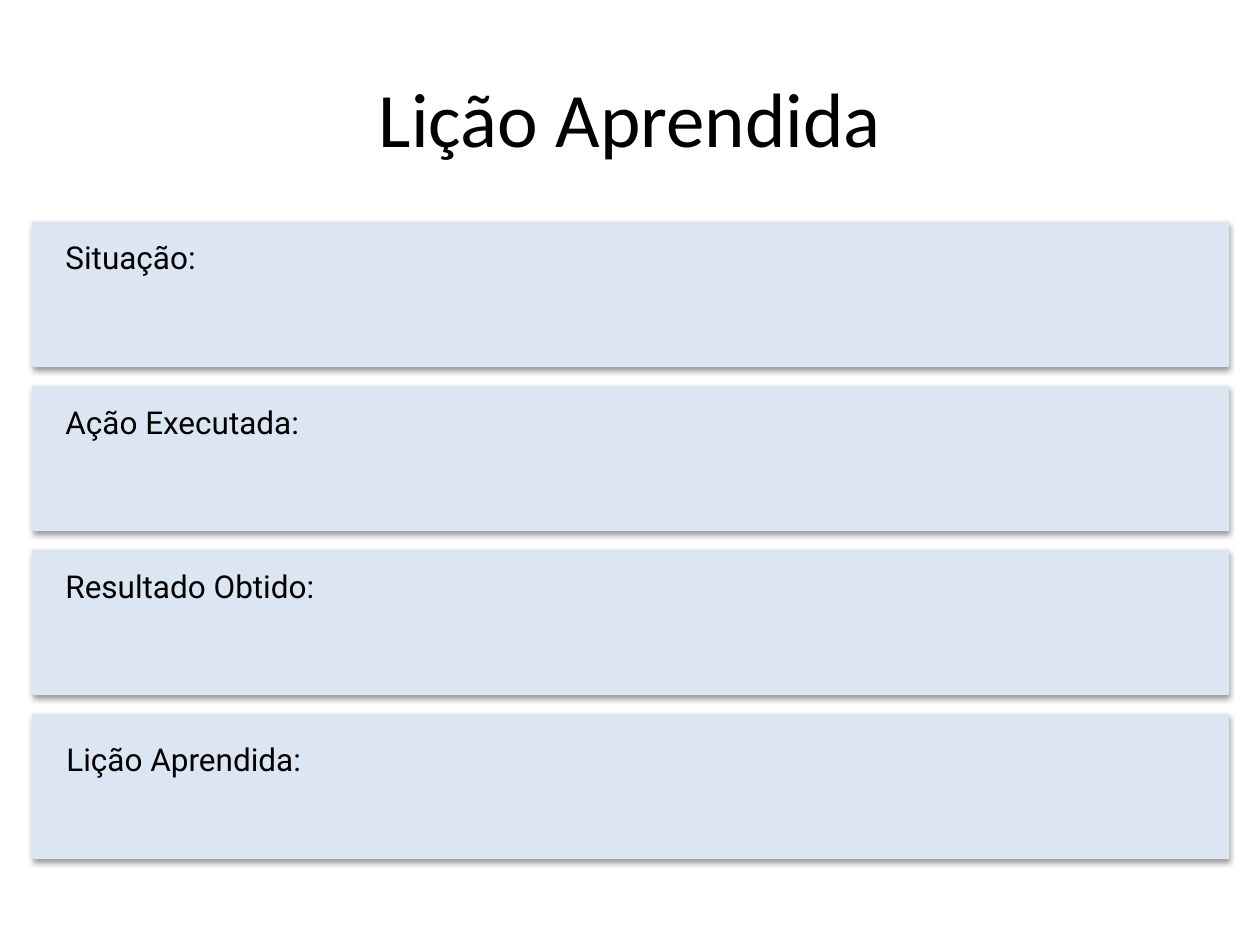
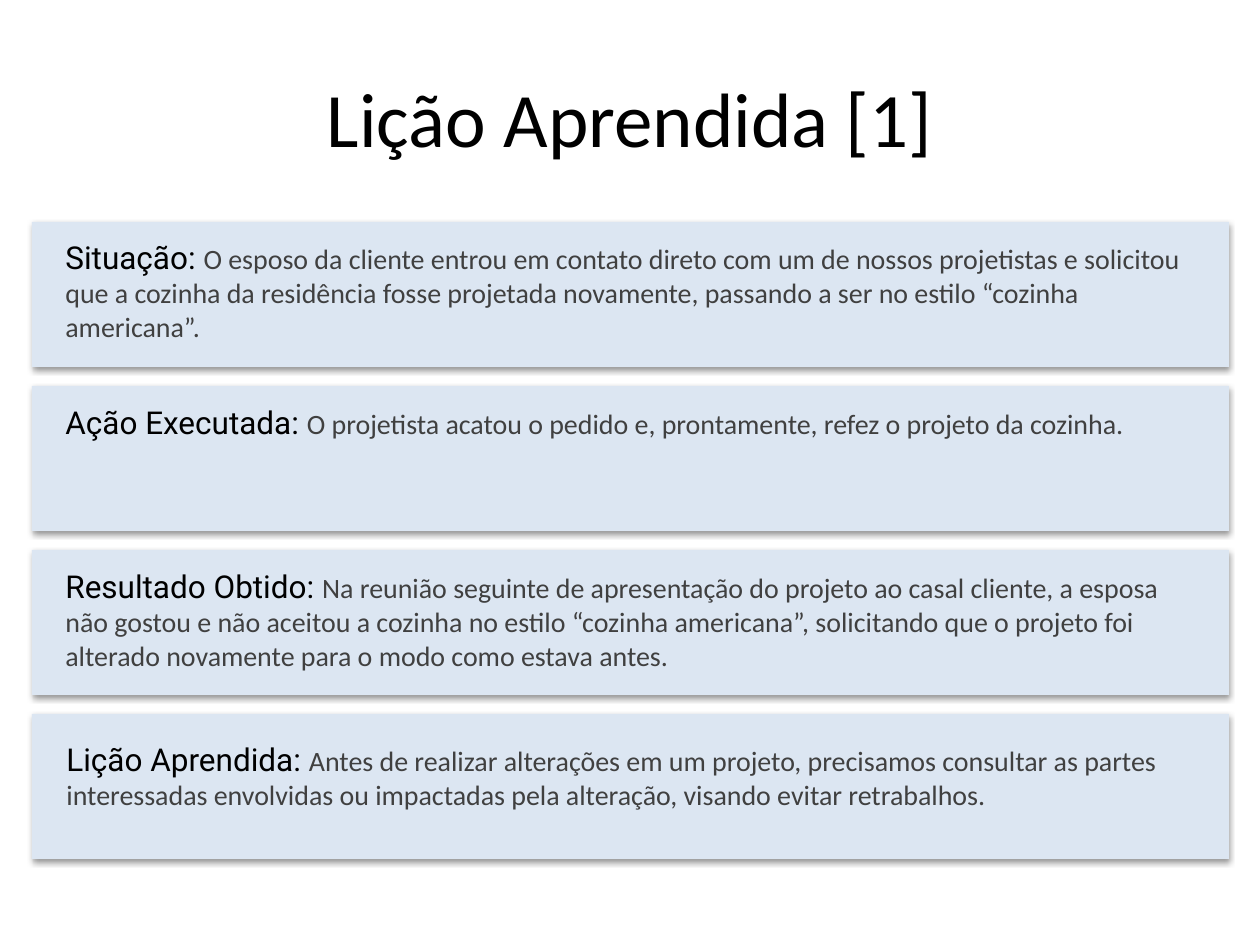
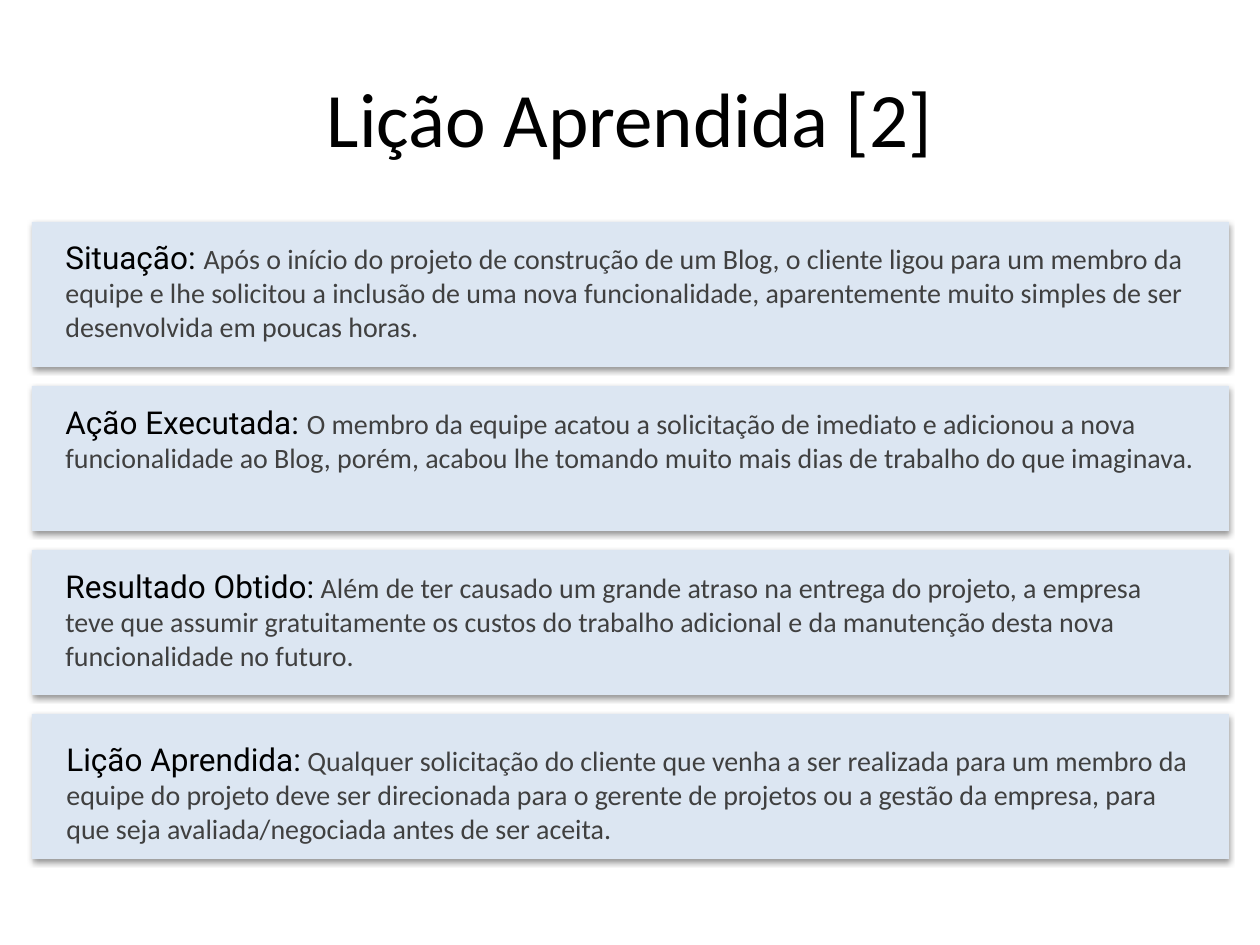
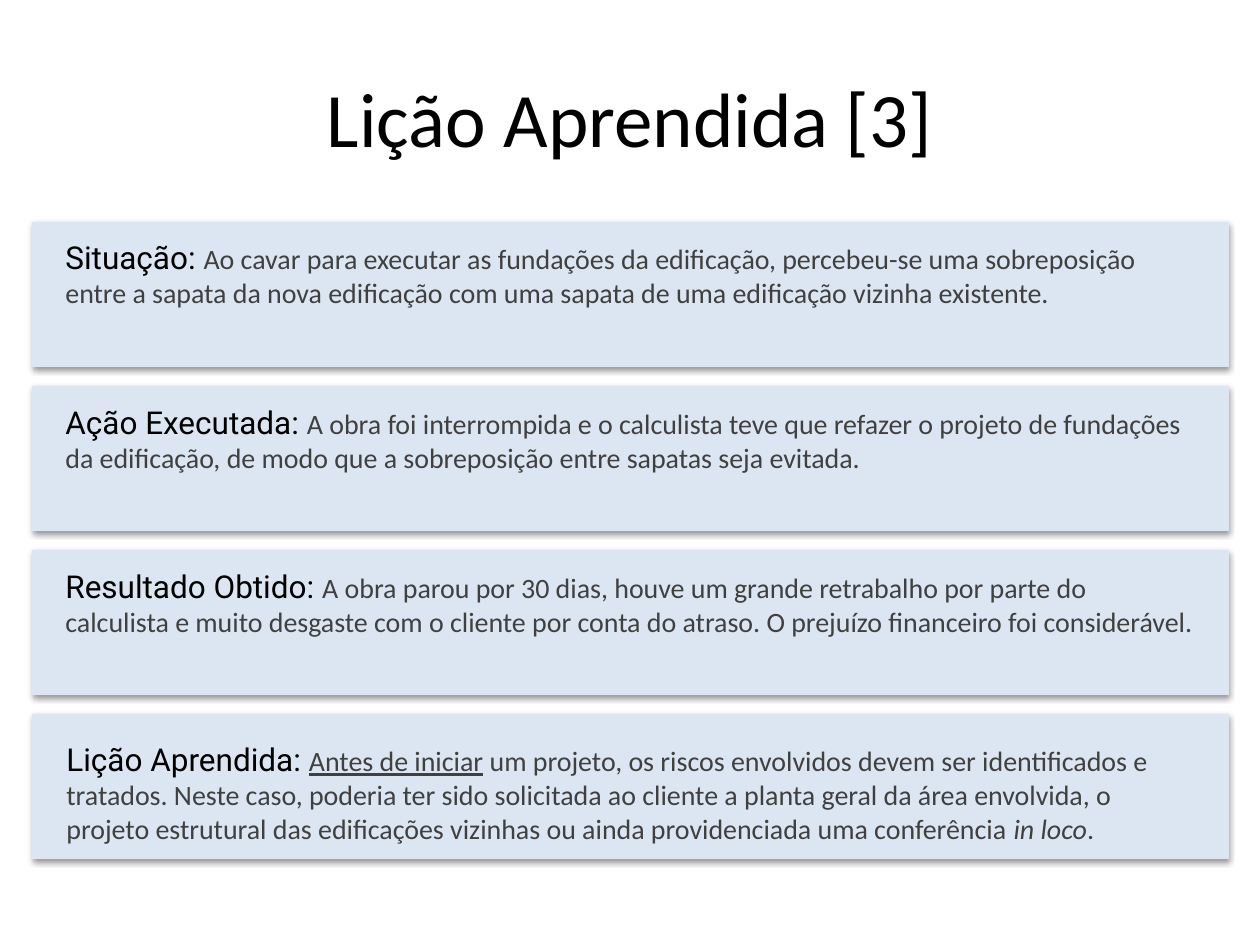
from dataclasses import dataclass

from lxml.etree import SubElement
from pptx import Presentation
from pptx.dml.color import RGBColor
from pptx.enum.shapes import MSO_SHAPE
from pptx.enum.text import MSO_ANCHOR, PP_ALIGN
from pptx.oxml.ns import qn
from pptx.util import Emu, Pt

PIXEL = 914400 // 126


@dataclass(frozen=True)
class Theme:
    """Colours, fonts and type sizes shared by the slides."""
    ink: str = "000000"
    body: str = "404040"
    band: str = "DCE6F2"
    shadow: str = "000000"
    label_font: str = "Roboto"
    text_font: str = "Calibri"
    title_size: int = 44
    label_size: int = 18
    body_size: int = 16
    space_before: float = 3.6


THEME = Theme()
TITLE_BOX = (63, 38, 1134, 157)
FIRST_BAND = (32, 222, 1197, 145)
BAND_PITCH = 164
TEXT_SIZE = (1155, 175)
SECTIONS = (
    ("Situação:", (21, 10)),
    ("Ação Executada:", (21, 11)),
    ("Resultado Obtido:", (21, 11)),
    ("Lição Aprendida:", (22, 20)),
)

LESSONS = (
    ("Lição Aprendida", ((), (), (), ())),
    ("Lição Aprendida [1]", (
        (("O esposo da cliente entrou em contato direto com um de nossos projetistas e "
          "solicitou que a cozinha da residência fosse projetada novamente, passando a "
          "ser no estilo “cozinha americana”.", {}),),
        (("O projetista acatou o pedido e, prontamente, refez o projeto da cozinha.", {}),),
        (("Na reunião seguinte de apresentação do projeto ao casal cliente, a esposa não "
          "gostou e não aceitou a cozinha no estilo “cozinha americana”, solicitando que "
          "o projeto foi alterado novamente para o modo como estava antes.", {}),),
        (("Antes de realizar alterações em um projeto, precisamos consultar as partes "
          "interessadas envolvidas ou impactadas pela alteração, visando evitar "
          "retrabalhos.", {}),),
    )),
    ("Lição Aprendida [2]", (
        (("Após o início do projeto de construção de um Blog, o cliente ligou para um "
          "membro da equipe e lhe solicitou a inclusão de uma nova funcionalidade, "
          "aparentemente muito simples de ser desenvolvida em poucas horas.", {}),),
        (("O membro da equipe acatou a solicitação de imediato e adicionou a nova "
          "funcionalidade ao Blog, porém, acabou lhe tomando muito mais dias de trabalho "
          "do que imaginava.", {}),),
        ((" Além de ter causado um grande atraso na entrega do projeto, a empresa teve "
          "que assumir gratuitamente os custos do trabalho adicional e da manutenção "
          "desta nova funcionalidade no futuro.", {}),),
        ((" Qualquer solicitação do cliente que venha a ser realizada para um membro da "
          "equipe do projeto deve ser direcionada para o gerente de projetos ou a gestão "
          "da empresa, para que seja avaliada/negociada antes de ser aceita.", {}),),
    )),
    ("Lição Aprendida [3]", (
        (("Ao cavar para executar as fundações da edificação, percebeu-se uma "
          "sobreposição entre a sapata da nova edificação com uma sapata de uma "
          "edificação vizinha existente.", {}),),
        (("A obra foi interrompida e o calculista teve que refazer o projeto de "
          "fundações da edificação, de modo que a sobreposição entre sapatas seja "
          "evitada.", {}),),
        (("A obra parou por 30 dias, houve um grande retrabalho por parte do calculista "
          "e muito desgaste com o cliente por conta do atraso. O prejuízo financeiro foi "
          "considerável.", {}),),
        (("Antes de iniciar", {"underline": True}),
         (" um projeto, os riscos envolvidos devem ser identificados e tratados. Neste "
          "caso, poderia ter sido solicitada ao cliente a planta geral da área "
          "envolvida, o projeto estrutural das edificações vizinhas ou ainda "
          "providenciada uma conferência ", {}),
         ("in loco", {"italic": True}),
         (".", {})),
    )),
)


def pixels(*lengths):
    """Turn pixel lengths into EMU."""
    return [Emu(length * PIXEL) for length in lengths]


def write_text(paragraph, text, *, font=THEME.text_font, size=THEME.body_size,
               color=THEME.body, underline=None, italic=None):
    """Append one formatted run to a paragraph."""
    run = paragraph.add_run()
    run.text = text
    run.font.name = font
    run.font.size = Pt(size)
    run.font.color.rgb = RGBColor.from_string(color)
    run.font.underline = underline
    run.font.italic = italic


def add_soft_shadow(shape):
    """Give a shape a short downward shadow."""
    shape.shadow.inherit = False
    effects = shape._element.spPr.find(qn("a:effectLst"))
    shadow = SubElement(effects, qn("a:outerShdw"), blurRad="40000", dist="20000",
                        dir="5400000", rotWithShape="0")
    color = SubElement(shadow, qn("a:srgbClr"), val=THEME.shadow)
    SubElement(color, qn("a:alpha"), val="38000")


def place_title(slide, box, text):
    """Move the title placeholder into its box and write it."""
    title = slide.shapes.title
    title.left, title.top, title.width, title.height = pixels(*box)
    title.text_frame.vertical_anchor = MSO_ANCHOR.MIDDLE
    paragraph = title.text_frame.paragraphs[0]
    paragraph.alignment = PP_ALIGN.CENTER
    write_text(paragraph, text, size=THEME.title_size, color=THEME.ink)


def add_band(slide, box):
    """Draw the shaded band behind a section."""
    band = slide.shapes.add_shape(MSO_SHAPE.RECTANGLE, *pixels(*box))
    band.fill.solid()
    band.fill.fore_color.rgb = RGBColor.from_string(THEME.band)
    band.line.fill.background()
    add_soft_shadow(band)


def add_section(slide, box, label, offset, body):
    """Draw one section: its band, label and body text."""
    left, top, _, _ = box
    add_band(slide, box)
    text_box = slide.shapes.add_textbox(
        *pixels(left + offset[0], top + offset[1], *TEXT_SIZE))
    text_box.text_frame.word_wrap = True
    paragraph = text_box.text_frame.paragraphs[0]
    paragraph.space_before = Pt(THEME.space_before)
    needs_space = body and not body[0][0].startswith(" ")
    write_text(paragraph, f"{label} " if needs_space else label,
               font=THEME.label_font, size=THEME.label_size, color=THEME.ink)
    for text, text_format in body:
        write_text(paragraph, text, **text_format)


def add_lesson_slide(presentation, title, bodies):
    """Add a slide with a title and four stacked sections."""
    slide = presentation.slides.add_slide(presentation.slide_layouts[5])
    place_title(slide, TITLE_BOX, title)
    left, top, width, height = FIRST_BAND
    for row, ((label, offset), body) in enumerate(zip(SECTIONS, bodies)):
        box = (left, top + row * BAND_PITCH, width, height)
        add_section(slide, box, label, offset, body)


def main():
    """Build and save the presentation."""
    presentation = Presentation()
    presentation.slide_width, presentation.slide_height = pixels(1260, 945)
    for title, bodies in LESSONS:
        add_lesson_slide(presentation, title, bodies)
    presentation.save("out.pptx")


main()
